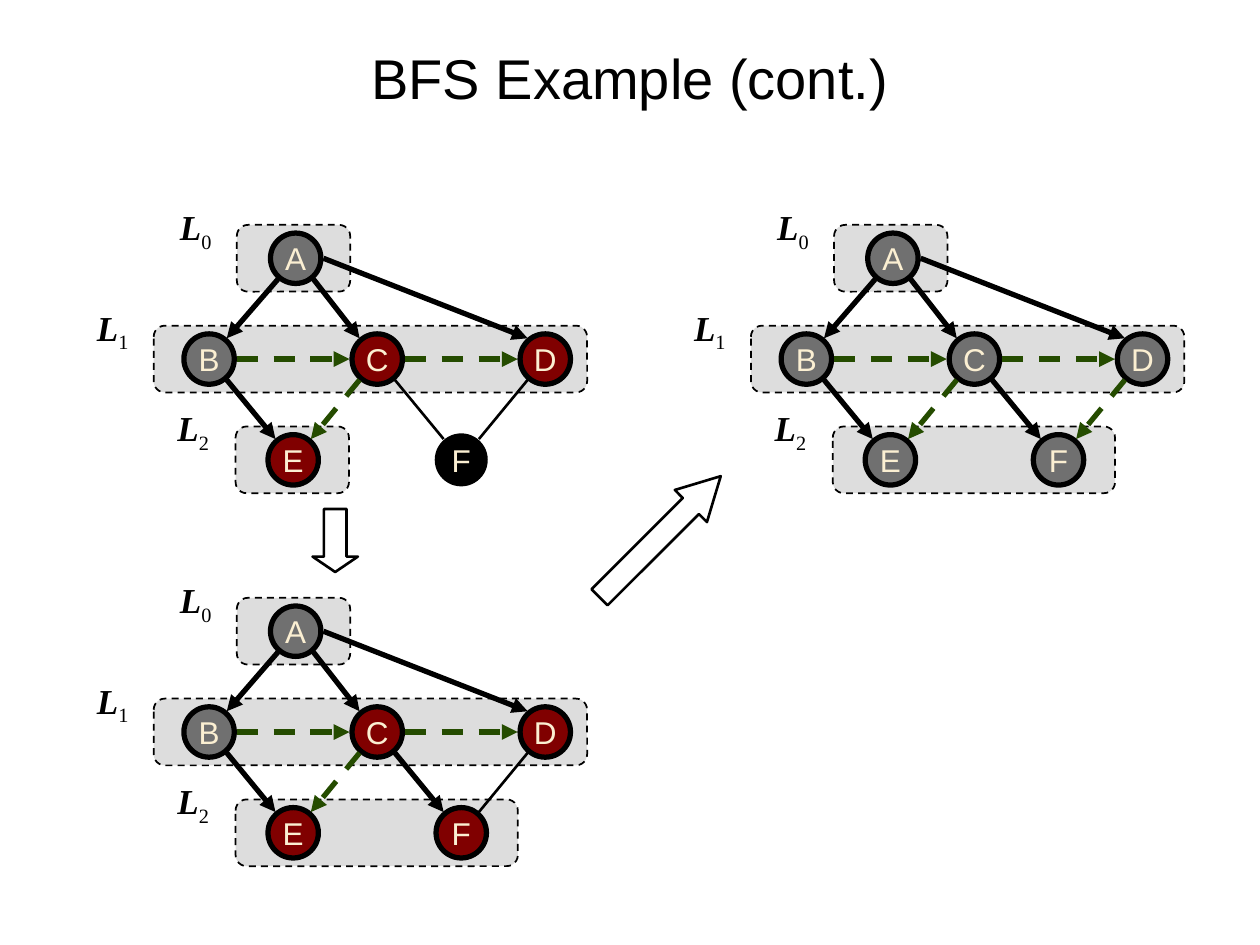
from dataclasses import dataclass

from lxml.etree import SubElement
from pptx import Presentation
from pptx.dml.color import RGBColor
from pptx.enum.dml import MSO_LINE
from pptx.enum.shapes import MSO_CONNECTOR, MSO_SHAPE
from pptx.enum.text import MSO_ANCHOR, PP_ALIGN
from pptx.oxml.ns import qn
from pptx.util import Inches, Pt


@dataclass(frozen=True)
class Theme:
    sans: str = "Arial"
    serif: str = "Times New Roman"
    ink: str = "000000"
    region: str = "DDDDDD"
    visited: str = "707070"
    queued: str = "800000"
    unseen: str = "000000"
    cross: str = "254C00"
    letter: str = "FBEFD2"
    title_size: int = 32
    level_size: int = 20
    node_size: int = 18
    thin: float = 1.5
    thick: float = 3


THEME = Theme()

# Grid of one graph, measured from the centre of node B
COLUMN, ROW = 0.667, 0.8
DIAMETER = 0.4
SIDE_GAP = 0.22             # centre to the end of an edge leaving sideways
SLANT = (0.14, 0.165)       # centre to the end of a slanted edge
REGION_HEIGHT = 0.53

# Node: (column, row)
NODES = {"C": (2, 0), "B": (0, 0), "A": (1.03, -1),
         "E": (1, 1), "D": (4, 0), "F": (3, 1)}

# Edges that look the same at every step
FIXED_EDGES = {"AB": "tree", "AC": "tree", "AD": "tree", "BE": "tree",
               "BC": "cross", "CD": "cross", "CE": "cross"}

# Level: (row, region left, region width, label left)
LEVELS = [(-1, 0.22, 0.9, -0.33), (0, -0.44, 3.44, -0.99), (1, 0.21, 2.24, -0.35)]
NARROW_REGION = 0.9

# Steps: centre of B, visited nodes, queued nodes, edges into F
STEPS = [
    ((1.66, 2.85), "AB", "CDE", {"CF": "open", "DF": "open"}),
    ((1.66, 5.81), "AB", "CDEF", {"CF": "tree", "DF": "open"}),
    ((6.4, 2.85), "ABCDEF", "", {"CF": "tree", "DF": "cross"}),
]


def rgb(value):
    return RGBColor.from_string(value)


def style_run(run, font, size, color, bold=False, italic=False):
    run.font.name, run.font.size = font, Pt(size)
    run.font.color.rgb = rgb(color)
    run.font.bold, run.font.italic = bold, italic


def add_outlined(shapes, kind, left, top, width, height, fill, line_width):
    shape = shapes.add_shape(kind, *map(Inches, (left, top, width, height)))
    shape.shadow.inherit = False
    if fill:
        shape.fill.solid()
        shape.fill.fore_color.rgb = rgb(fill)
    else:
        shape.fill.background()
    shape.line.color.rgb = rgb(THEME.ink)
    shape.line.width = Pt(line_width)
    return shape


def add_region(shapes, left, middle, width):
    region = add_outlined(shapes, MSO_SHAPE.ROUNDED_RECTANGLE, left,
                          middle - REGION_HEIGHT / 2, width, REGION_HEIGHT,
                          THEME.region, 1)
    region.line.dash_style = MSO_LINE.DASH


def add_node(shapes, letter, center, fill, outline):
    x, y = center
    node = add_outlined(shapes, MSO_SHAPE.OVAL, x - DIAMETER / 2, y - DIAMETER / 2,
                        DIAMETER, DIAMETER, fill, outline)
    frame = node.text_frame
    frame.word_wrap = False
    frame.vertical_anchor = MSO_ANCHOR.MIDDLE
    paragraph = frame.paragraphs[0]
    paragraph.alignment = PP_ALIGN.CENTER
    run = paragraph.add_run()
    run.text = letter
    style_run(run, THEME.sans, THEME.node_size, THEME.letter)


def add_edge(shapes, start, end, kind, from_side=False):
    (x1, y1), (x2, y2) = start, end
    level = y1 == y2
    toward = 1 if x2 > x1 else -1
    slant_x, slant_y = SLANT[0] * toward, SLANT[1]
    # Trim both ends back from the node centres
    out_x, out_y = (SIDE_GAP, 0) if level or from_side else (slant_x, slant_y)
    in_x, in_y = (SIDE_GAP, 0) if level else (slant_x, slant_y)
    edge = shapes.add_connector(
        MSO_CONNECTOR.STRAIGHT,
        *map(Inches, (x1 + out_x, y1 + out_y, x2 - in_x, y2 - in_y)))
    edge.line.color.rgb = rgb(THEME.cross if kind == "cross" else THEME.ink)
    edge.line.width = Pt(THEME.thin if kind == "open" else THEME.thick)
    if kind == "cross":
        edge.line.dash_style = MSO_LINE.DASH
    properties = edge._element.spPr
    if kind != "open":
        SubElement(properties.find(qn("a:ln")), qn("a:tailEnd"), type="triangle")
    SubElement(properties, qn("a:effectLst"))


def add_level_label(shapes, number, left, middle):
    label = shapes.add_textbox(*map(Inches, (left, middle - 0.47, 0.51, 0.43)))
    label.text_frame.word_wrap = True
    paragraph = label.text_frame.paragraphs[0]
    name = paragraph.add_run()
    name.text = "L"
    style_run(name, THEME.serif, THEME.level_size, THEME.ink, bold=True, italic=True)
    index = paragraph.add_run()
    index.text = str(number)
    style_run(index, THEME.serif, THEME.level_size, THEME.ink)
    index._r.get_or_add_rPr().set("baseline", "-25000")


def add_graph(slide, origin, visited, queued, last_edges):
    shapes = slide.shapes.add_group_shape().shapes
    x, y = origin
    centers = {letter: (x + column * COLUMN, y + row * ROW)
               for letter, (column, row) in NODES.items()}
    found = visited + queued

    # Level regions, the last one only as wide as its discovered nodes
    for row, left, width, _ in LEVELS:
        if row == 1 and "F" not in found:
            width = NARROW_REGION
        add_region(shapes, x + left, y + row * ROW, width)

    for letter, center in centers.items():
        fill = (THEME.visited if letter in visited
                else THEME.queued if letter in queued else THEME.unseen)
        add_node(shapes, letter, center, fill,
                 THEME.thick if letter in found else THEME.thin)

    for (start, end), kind in {**FIXED_EDGES, **last_edges}.items():
        add_edge(shapes, centers[start], centers[end], kind, start + end == "AD")

    for number, (row, _, _, left) in enumerate(LEVELS):
        add_level_label(shapes, number, x + left, y + row * ROW)


def add_step_arrow(slide, left, top, length, rotation, head):
    arrow = add_outlined(slide.shapes, MSO_SHAPE.RIGHT_ARROW, left, top,
                         length, 0.36, None, THEME.thin)
    arrow.rotation = rotation
    arrow.adjustments[1] = head


def set_title(slide, text):
    title = slide.shapes.title
    title.left, title.top, title.width, title.height = map(Inches, (0.5, 0.3, 9, 0.62))
    title.text_frame.vertical_anchor = MSO_ANCHOR.MIDDLE
    paragraph = title.text_frame.paragraphs[0]
    paragraph.alignment = PP_ALIGN.CENTER
    run = paragraph.add_run()
    run.text = text
    style_run(run, THEME.sans, THEME.title_size, THEME.ink)


def main():
    deck = Presentation()
    deck.slide_width, deck.slide_height = Inches(10), Inches(7.5)
    slide = deck.slides.add_slide(deck.slide_layouts[5])
    set_title(slide, "BFS Example (cont.)")
    for step in STEPS:
        add_graph(slide, *step)
    # Arrows leading from one step to the next
    add_step_arrow(slide, 2.41, 4.11, 0.5, 90, 0.34)
    add_step_arrow(slide, 4.56, 4.08, 1.36, 315, 0.93)
    deck.save("out.pptx")


if __name__ == "__main__":
    main()
